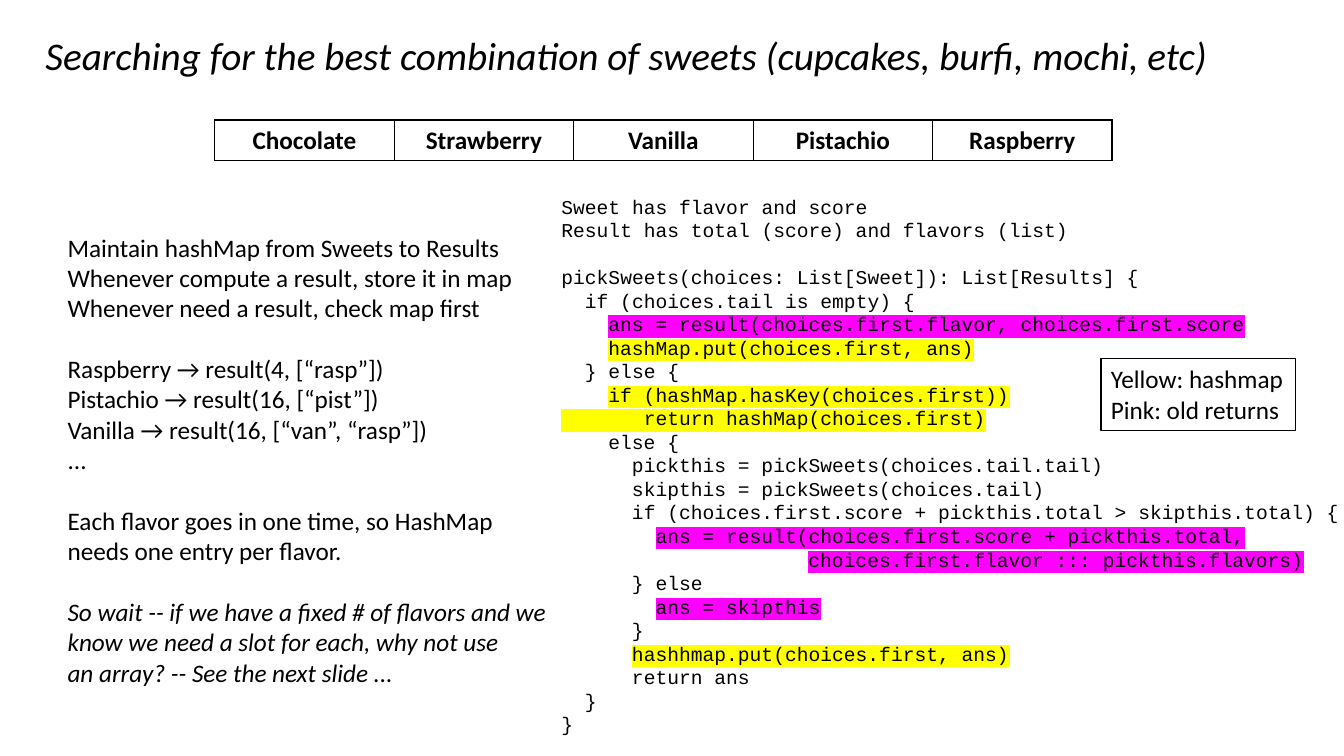
from dataclasses import dataclass

from lxml import etree
from pptx import Presentation
from pptx.dml.color import RGBColor
from pptx.enum.shapes import MSO_SHAPE
from pptx.enum.text import MSO_ANCHOR, MSO_AUTO_SIZE, PP_ALIGN
from pptx.oxml.ns import qn
from pptx.util import Inches, Pt

RECTANGLE = MSO_SHAPE.RECTANGLE
TOP, MIDDLE = MSO_ANCHOR.TOP, MSO_ANCHOR.MIDDLE
NO_AUTOFIT = MSO_AUTO_SIZE.NONE
LEFT, CENTER = PP_ALIGN.LEFT, PP_ALIGN.CENTER

SANS, MONO = "Calibri", "Courier New"
BLACK, PINK, YELLOW = "000000", "FF00FF", "FFFF00"
CODE_CHAR = 8.4
CODE_LINE = 16.8
NOTE_LINE = 22


@dataclass
class Line:
    text: str
    indent: int = 0
    highlight: str = ""
    gap: float = 0
    italic: bool = False


TITLE = "Searching for the best combination of sweets (cupcakes, burfi, mochi, etc)"
FLAVORS = ["Chocolate", "Strawberry", "Vanilla", "Pistachio", "Raspberry"]
NOTES = [
    Line("Maintain hashMap from Sweets to Results"),
    Line("Whenever compute a result, store it in map"),
    Line("Whenever need a result, check map first"),
    Line("Raspberry → result(4, [“rasp”])", gap=NOTE_LINE),
    Line("Pistachio → result(16, [“pist”])"),
    Line("Vanilla → result(16, [“van”, “rasp”])"),
    Line("..."),
    Line("Each flavor goes in one time, so HashMap", gap=NOTE_LINE),
    Line("needs one entry per flavor."),
    Line("So wait -- if we have a fixed # of flavors and we", gap=NOTE_LINE, italic=True),
    Line("know we need a slot for each, why not use", italic=True),
    Line("an array? -- See the next slide ...", italic=True),
]
CODE = [
    Line("Sweet has flavor and score"),
    Line("Result has total (score) and flavors (list)"),
    Line("pickSweets(choices: List[Sweet]): List[Results] {", gap=CODE_LINE),
    Line("if (choices.tail is empty) {", 2),
    Line("ans = result(choices.first.flavor, choices.first.score", 4, PINK),
    Line("hashMap.put(choices.first, ans)", 4, YELLOW),
    Line("} else {", 2),
    Line("if (hashMap.hasKey(choices.first))", 4, YELLOW),
    Line("       return hashMap(choices.first)", 0, YELLOW),
    Line("else {", 4),
    Line("pickthis = pickSweets(choices.tail.tail)", 6),
    Line("skipthis = pickSweets(choices.tail)", 6),
    Line("if (choices.first.score + pickthis.total > skipthis.total) {", 6),
    Line("ans = result(choices.first.score + pickthis.total,", 8, PINK),
    Line("choices.first.flavor ::: pickthis.flavors)", 21, PINK),
    Line("} else", 6),
    Line("ans = skipthis", 8, PINK),
    Line("}", 6),
    Line("hashhmap.put(choices.first, ans)", 6, YELLOW),
    Line("return ans", 6),
    Line("}", 2),
    Line("}"),
]
LEGEND = [Line("Yellow: hashmap"), Line("Pink: old returns")]


def color(hex_code: str) -> RGBColor:
    return RGBColor.from_string(hex_code)


def place(shape, left: float, top: float, width: float, height: float) -> None:
    shape.left, shape.top = Inches(left), Inches(top)
    shape.width, shape.height = Inches(width), Inches(height)


def write_line(paragraph, text: str, *, size: float, font: str = SANS, bold: bool = False,
               italic: bool = False, highlight: str = "", align=LEFT, gap: float = 0,
               indent: float = 0, leading: float = 0) -> None:
    paragraph.alignment = align
    paragraph.space_before, paragraph.space_after = Pt(gap), Pt(0)
    if leading:
        paragraph.line_spacing = Pt(leading)
    properties = paragraph._p.get_or_add_pPr()
    properties.set("marL", str(Pt(indent)))
    properties.set("indent", "0")
    etree.SubElement(properties, qn("a:buNone"))
    run = paragraph.add_run()
    run.text = text
    run.font.size, run.font.name = Pt(size), font
    run.font.bold, run.font.italic = bold, italic
    run.font.color.rgb = color(BLACK)
    if highlight:
        marker = etree.Element(qn("a:highlight"))
        etree.SubElement(marker, qn("a:srgbClr"), val=highlight)
        run._r.rPr.find(qn("a:latin")).addprevious(marker)


def write_lines(frame, lines: list[Line], *, size: float, font: str = SANS,
                leading: float = 0, anchor=TOP) -> None:
    frame.word_wrap = True
    frame.auto_size = NO_AUTOFIT
    frame.vertical_anchor = anchor
    for number, line in enumerate(lines):
        paragraph = frame.add_paragraph() if number else frame.paragraphs[0]
        write_line(paragraph, line.text, size=size, font=font, italic=line.italic,
                   highlight=line.highlight, gap=line.gap,
                   indent=line.indent * CODE_CHAR, leading=leading)


def outline_cell(cell, width: float) -> None:
    cell.fill.background()
    for position, side in enumerate(("a:lnL", "a:lnR", "a:lnT", "a:lnB")):
        border = etree.Element(qn(side), w=str(Pt(width)))
        fill = etree.SubElement(border, qn("a:solidFill"))
        etree.SubElement(fill, qn("a:srgbClr"), val=BLACK)
        cell._tc.get_or_add_tcPr().insert(position, border)


def draw_flavors(slide) -> None:
    column_width = 1.78
    frame = slide.shapes.add_table(1, len(FLAVORS), Inches(2.13), Inches(1.19),
                                   Inches(column_width * len(FLAVORS)), Inches(0.4))
    table = frame.table
    table.first_row = table.horz_banding = False
    for column, flavor in enumerate(FLAVORS):
        table.columns[column].width = Inches(column_width)
        cell = table.cell(0, column)
        cell.vertical_anchor = MIDDLE
        write_line(cell.text_frame.paragraphs[0], flavor, size=18, bold=True, align=CENTER)
        outline_cell(cell, 1)


def draw_code(slide) -> None:
    listing = slide.shapes.add_textbox(Inches(5.47), Inches(1.88), Inches(7.86), Inches(5.52))
    listing.text_frame.margin_right = Inches(0)
    write_lines(listing.text_frame, CODE, size=14, font=MONO, leading=CODE_LINE)


def draw_legend(slide) -> None:
    legend = slide.shapes.add_shape(RECTANGLE, Inches(10.92), Inches(3.56),
                                    Inches(1.93), Inches(0.71))
    legend.shadow.inherit = False
    legend.fill.background()
    legend.line.color.rgb = color(BLACK)
    legend.line.width = Pt(0.75)
    legend.text_frame.margin_right = Inches(0)
    write_lines(legend.text_frame, LEGEND, size=18)


def main() -> None:
    deck = Presentation()
    deck.slide_width, deck.slide_height = Inches(13.33), Inches(7.5)
    slide = deck.slides.add_slide(deck.slide_layouts[1])
    title, notes = slide.placeholders
    place(title, 0.35, 0.26, 11.94, 0.57)
    write_lines(title.text_frame, [Line(TITLE, italic=True)], size=28)
    place(notes, 0.57, 2.25, 5.05, 4.64)
    write_lines(notes.text_frame, NOTES, size=18)
    draw_flavors(slide)
    draw_code(slide)
    draw_legend(slide)
    deck.save("out.pptx")


main()
